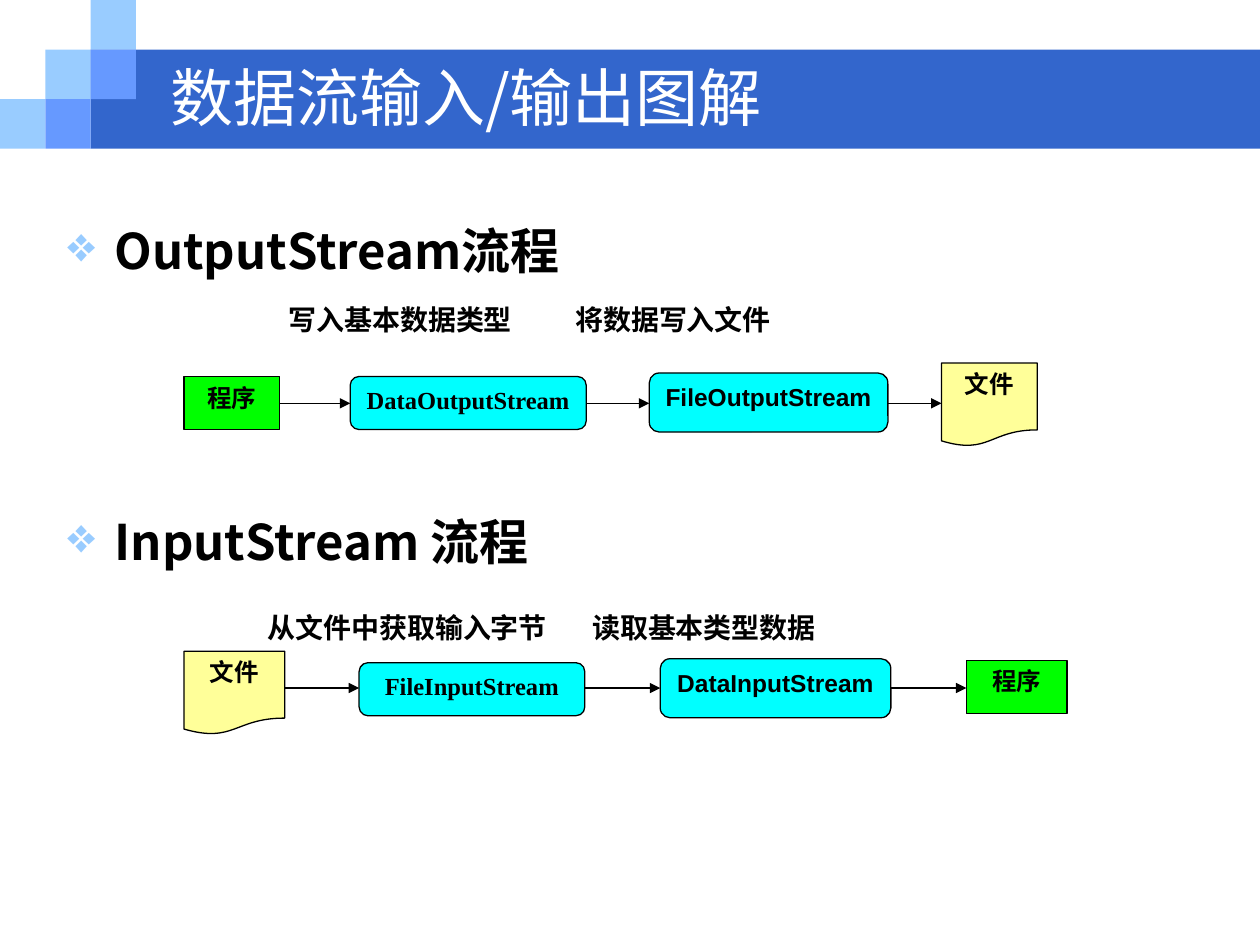
import pptx
import pptx.util
import pptx.dml.color
import pptx.enum.shapes
import pptx.enum.text
import pptx.oxml
import pptx.oxml.ns

Cm = pptx.util.Cm
Pt = pptx.util.Pt
Kind = pptx.enum.shapes.MSO_SHAPE
Anchor = pptx.enum.text.MSO_ANCHOR
Align = pptx.enum.text.PP_ALIGN

HUES = {"bar": "3366CC", "light": "99CCFF", "mid": "6699FF", "white": "FFFFFF",
        "black": "000000", "file": "FFFF99", "stream": "00FFFF", "code": "00FF00"}
SANS, SERIF, ARIAL, LATO = "Noto Sans CJK SC", "Times New Roman", "Arial", "Lato"

TITLE = "数据流输入/输出图解"
TILES = [(0, 2, "light"), (1, 1, "light"), (2, 0, "light"), (2, 1, "mid"), (1, 2, "mid")]
TILE_W, TILE_H = 0.914, 1.0

FORMS = {"code": Kind.RECTANGLE, "file": Kind.FLOWCHART_DOCUMENT,
         "stream": Kind.FLOWCHART_ALTERNATE_PROCESS}

FLOWS = [
    {"head": ("OutputStream流程", 5.04),
     "notes": [("写入基本数据类型", 5.82), ("将数据写入文件", 11.6)], "note_y": 6.44,
     "line_y": 8.13,
     "nodes": [("程序", "code", SERIF, 3.71, 7.59, 1.93, 1.07),
               ("DataOutputStream", "stream", SERIF, 7.06, 7.59, 4.76, 1.07),
               ("FileOutputStream", "stream", ARIAL, 13.09, 7.52, 4.81, 1.19),
               ("文件", "file", SERIF, 18.98, 7.32, 1.93, 1.68)]},
    {"head": ("InputStream 流程", 10.9),
     "notes": [("从文件中获取输入字节", 5.4), ("读取基本类型数据", 11.94)], "note_y": 12.65,
     "line_y": 13.87,
     "nodes": [("文件", "file", SERIF, 3.71, 13.13, 2.03, 1.68),
               ("FileInputStream", "stream", SERIF, 7.24, 13.36, 4.55, 1.07),
               ("DataInputStream", "stream", ARIAL, 13.31, 13.28, 4.65, 1.19),
               ("程序", "code", SERIF, 19.48, 13.31, 2.03, 1.07)]},
]


def hue(name):
    return pptx.dml.color.RGBColor.from_string(HUES[name])


def add_xml(node, tag, **attrs):
    item = pptx.oxml.parse_xml(f"<a:{tag} {pptx.oxml.ns.nsdecls('a')}/>")
    for key, val in attrs.items():
        item.set(key, val)
    node.append(item)
    return item


def style(para, size, font, color="black", bold=True):
    para.font.size = Pt(size)
    para.font.name = font
    para.font.bold = bold
    para.font.color.rgb = hue(color)


def add_form(slide, kind, box, fill):
    form = slide.shapes.add_shape(kind, *map(Cm, box))
    form.shadow.inherit = False
    form.fill.solid()
    form.fill.fore_color.rgb = hue(fill)
    form.line.fill.background()
    return form


def add_text(slide, text, left, mid, width, size, font, color="black", bold=True, mark=False):
    high = 1.6
    box = slide.shapes.add_textbox(Cm(left), Cm(mid - high / 2), Cm(width), Cm(high))
    frame = box.text_frame
    frame.word_wrap = True
    frame.vertical_anchor = Anchor.MIDDLE
    frame.margin_left = frame.margin_right = frame.margin_top = frame.margin_bottom = 0
    para = frame.paragraphs[0]
    para.text = text
    if mark:
        props = para._p.get_or_add_pPr()
        props.set("marL", str(Cm(0.95)))
        props.set("indent", str(Cm(-0.95)))
        add_xml(add_xml(props, "buClr"), "srgbClr", val=HUES["light"])
        add_xml(props, "buChar", char="❖")
    style(para, size, font, color, bold)


def add_node(slide, text, kind, font, *box):
    node = add_form(slide, FORMS[kind], box, kind)
    node.line.color.rgb = hue("black")
    node.line.width = Pt(0.75)
    frame = node.text_frame
    frame.word_wrap = False
    frame.vertical_anchor = Anchor.TOP
    para = frame.paragraphs[0]
    para.text = text
    para.alignment = Align.CENTER
    style(para, 14, font)


def add_arrow(slide, start, end, y):
    line = slide.shapes.add_connector(pptx.enum.shapes.MSO_CONNECTOR.STRAIGHT,
                                      Cm(start), Cm(y), Cm(end), Cm(y))
    line.line.color.rgb = hue("black")
    line.line.width = Pt(0.75)
    add_xml(line.line._get_or_add_ln(), "tailEnd", type="triangle")
    add_xml(line._element.spPr, "effectLst")


def main():
    deck = pptx.Presentation()
    deck.slide_width, deck.slide_height = Cm(25.4), Cm(19.05)
    slide = deck.slides.add_slide(deck.slide_layouts[6])

    add_form(slide, Kind.RECTANGLE, (1.83, 1, 23.57, 2), "bar")
    for col, row, fill in TILES:
        add_form(slide, Kind.RECTANGLE, (col * TILE_W, row * TILE_H, TILE_W, TILE_H), fill)
    add_text(slide, TITLE, 3.43, 1.95, 20, 36, SANS, "white", False)

    for flow in FLOWS:
        text, mid = flow["head"]
        add_text(slide, text, 1.36, mid, 22, 28, SANS, mark=True)
        for text, left in flow["notes"]:
            add_text(slide, text, left, flow["note_y"], 6, 16, LATO)
        nodes = flow["nodes"]
        for node in nodes:
            add_node(slide, *node)
        for prev, after in zip(nodes, nodes[1:]):
            add_arrow(slide, prev[3] + prev[5], after[3], flow["line_y"])

    deck.save("out.pptx")


if __name__ == "__main__":
    main()
